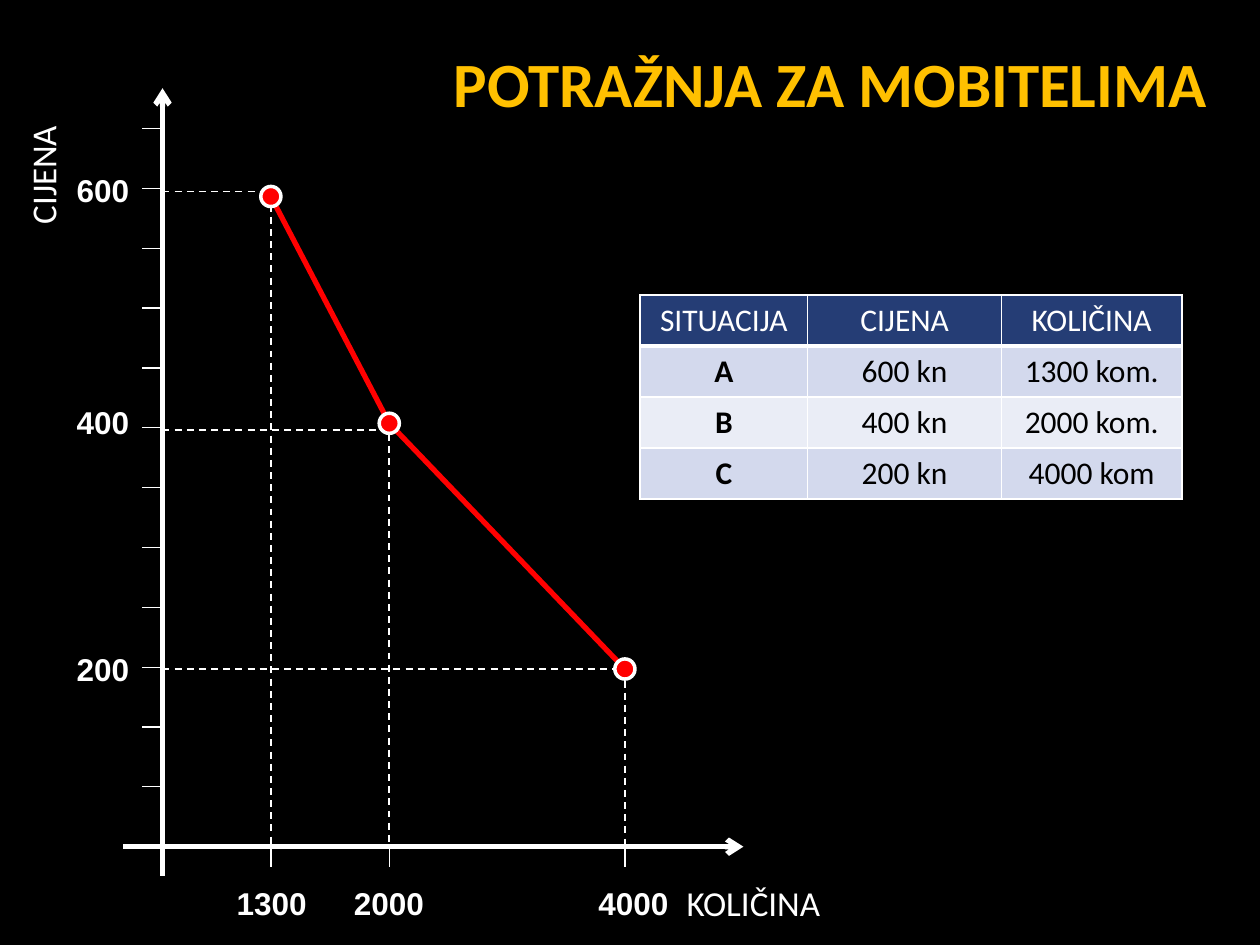
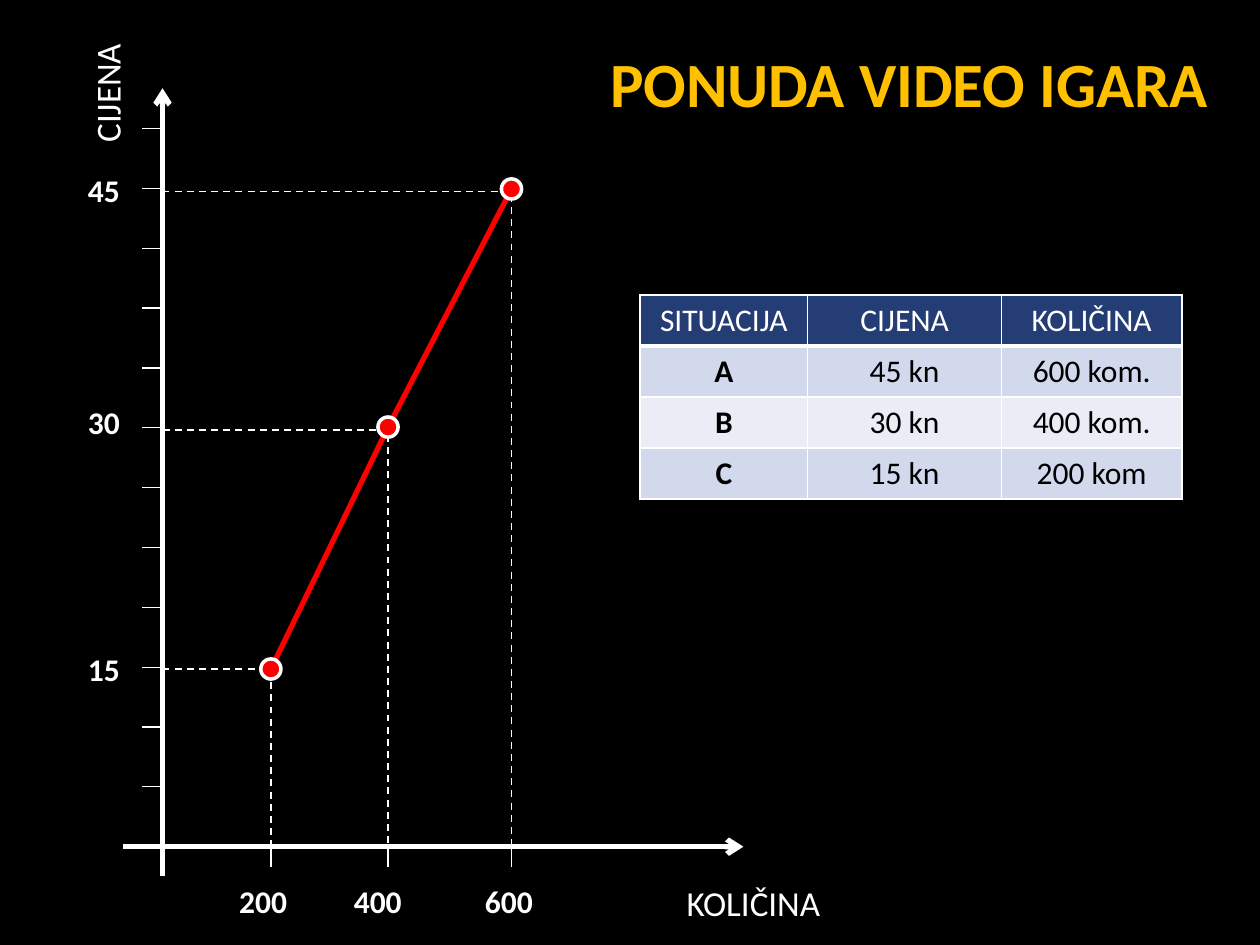
from lxml import etree
from pptx import Presentation
from pptx.dml.color import RGBColor
from pptx.enum.dml import MSO_LINE
from pptx.enum.shapes import MSO_CONNECTOR, MSO_SHAPE
from pptx.enum.text import MSO_AUTO_SIZE, PP_ALIGN
from pptx.oxml.ns import qn
from pptx.util import Inches, Pt

STRAIGHT, ELBOW = MSO_CONNECTOR.STRAIGHT, MSO_CONNECTOR.ELBOW
OVAL, DASH = MSO_SHAPE.OVAL, MSO_LINE.DASH
LEFT, CENTER, RIGHT = PP_ALIGN.LEFT, PP_ALIGN.CENTER, PP_ALIGN.RIGHT
GROW, FIXED = MSO_AUTO_SIZE.SHAPE_TO_FIT_TEXT, MSO_AUTO_SIZE.NONE

# Content: labels are (text, left); points are (x, y), from situation A to C
HEADER = ("SITUACIJA", "CIJENA", "KOLIČINA")
SLIDES = [
    {
        "title": "POTRAŽNJA ZA MOBITELIMA",
        "title_box": (3.12, 0.3, 6.56, 0.95),
        "price_axis_box": (-0.17, 1.15, 1.02, 0.44),
        "label_font": "Arial",
        "prices": ("600", "400", "200"),
        "price_left": 0.51, "price_width": 0.62,
        "quantities": (("1300", 1.78), ("2000", 2.71), ("4000", 4.65)),
        "quantity_top": 6.97, "quantity_width": 0.76,
        "points": ((2.15, 1.56), (3.09, 3.36), (4.96, 5.31)),
        "rows": (("A", "600 kn", "1300 kom."),
                 ("B", "400 kn", "2000 kom."),
                 ("C", "200 kn", "4000 kom")),
    },
    {
        "title": "PONUDA VIDEO IGARA",
        "title_box": (2.66, 0.3, 7.03, 0.95),
        "price_axis_box": (0.34, 0.5, 1.02, 0.44),
        "label_font": "Calibri",
        "prices": ("45", "30", "15"),
        "price_left": 0.6, "price_width": 0.46,
        "quantities": (("200", 1.8), ("400", 2.71), ("600", 3.75)),
        "quantity_top": 6.95, "quantity_width": 0.59,
        "points": ((4.06, 1.5), (3.08, 3.39), (2.15, 5.31)),
        "rows": (("A", "45 kn", "600 kom."),
                 ("B", "30 kn", "400 kom."),
                 ("C", "15 kn", "200 kom")),
    },
]

# Shared look and geometry
BLACK, WHITE, RED, GOLD = "000000", "FFFFFF", "FF0000", "FFC000"
HEADER_FILL, BANDS = "253D75", ("D3D9ED", "EAEDF6")
FONT = "Calibri"
ORIGIN_X, ORIGIN_Y = 1.29, 6.72
TICK, TICK_STEP, TICK_COUNT = 0.16, 0.475, 12
PRICE_TOPS = (1.31, 3.15, 5.11)
GUIDE_LEVELS = (1.52, 3.41, 5.31)
MARKER = 0.16
COLUMN_WIDTHS, ROW_HEIGHT = (1.33, 1.54, 1.43), 0.405


def rgb(color):
    return RGBColor.from_string(color)


def write(frame, text, size, color, font=FONT, bold=False, align=LEFT):
    paragraph = frame.paragraphs[0]
    paragraph.alignment = align
    run = paragraph.add_run()
    run.text = text
    run.font.name, run.font.size, run.font.bold = font, Pt(size), bold
    run.font.color.rgb = rgb(color)


def add_text(slide, box, text, size, color=WHITE, wrap=True, fit=GROW, **style):
    label = slide.shapes.add_textbox(*map(Inches, box))
    label.text_frame.word_wrap = wrap
    label.text_frame.auto_size = fit
    write(label.text_frame, text, size, color, **style)
    return label


def add_line(slide, start, end, width, kind=STRAIGHT):
    line = slide.shapes.add_connector(kind, *map(Inches, (*start, *end)))
    line.line.color.rgb = rgb(WHITE)
    line.line.width = Pt(width)
    etree.SubElement(line._element.spPr, qn("a:effectLst"))
    return line


def add_axis(slide, start, end):
    axis = add_line(slide, start, end, 3)
    etree.SubElement(axis.line._get_or_add_ln(), qn("a:tailEnd"), type="arrow")


def add_guide(slide, level, x):
    """Dashed line across from the price axis, then down to the quantity axis."""
    guide = add_line(slide, (ORIGIN_X, level), (x, ORIGIN_Y), 1, ELBOW)
    guide.line.dash_style = DASH
    bend = guide._element.spPr.find(qn("a:prstGeom")).find(qn("a:avLst"))
    etree.SubElement(bend, qn("a:gd"), name="adj1", fmla="val 100000")


def add_curve(slide, points):
    start, *rest = [(Inches(x), Inches(y)) for x, y in points]
    builder = slide.shapes.build_freeform(*start)
    builder.add_line_segments(rest, close=False)
    curve = builder.convert_to_shape()
    curve.shadow.inherit = False
    curve.fill.background()
    curve.line.color.rgb = rgb(RED)
    curve.line.width = Pt(3)


def add_marker(slide, x, y):
    box = (x - MARKER / 2, y - MARKER / 2, MARKER, MARKER)
    marker = slide.shapes.add_shape(OVAL, *map(Inches, box))
    marker.shadow.inherit = False
    marker.fill.solid()
    marker.fill.fore_color.rgb = rgb(RED)
    marker.line.color.rgb = rgb(WHITE)
    marker.line.width = Pt(2)


def set_borders(cell, bottom):
    properties = cell._tc.get_or_add_tcPr()
    widths = {"lnL": 1, "lnR": 1, "lnT": 1, "lnB": bottom}
    for position, (side, width) in enumerate(widths.items()):
        border = etree.Element(qn("a:" + side), w=str(Pt(width)))
        fill = etree.SubElement(border, qn("a:solidFill"))
        etree.SubElement(fill, qn("a:srgbClr"), val=WHITE)
        properties.insert(position, border)


def add_situations(slide, rows):
    rows = (HEADER, *rows)
    box = (5.08, 2.34, sum(COLUMN_WIDTHS), ROW_HEIGHT * len(rows))
    table = slide.shapes.add_table(len(rows), len(HEADER), *map(Inches, box)).table
    for column, width in zip(table.columns, COLUMN_WIDTHS):
        column.width = Inches(width)
    for r, row in enumerate(rows):
        is_header = r == 0
        for c, text in enumerate(row):
            cell = table.cell(r, c)
            cell.fill.solid()
            cell.fill.fore_color.rgb = rgb(HEADER_FILL if is_header else BANDS[(r - 1) % 2])
            set_borders(cell, 3 if is_header else 1)
            write(cell.text_frame, text, 18, WHITE if is_header else BLACK,
                  bold=c == 0 and not is_header, align=CENTER)


def add_axes(slide, content):
    # Axis names
    add_text(slide, content["price_axis_box"], "CIJENA", 20).rotation = 270
    add_text(slide, (5.35, 6.95, 2.42, 0.44), "KOLIČINA", 20)

    # Price axis with evenly spaced ticks
    add_axis(slide, (ORIGIN_X, 6.95), (ORIGIN_X, 0.7))
    for n in range(1, TICK_COUNT + 1):
        y = ORIGIN_Y - n * TICK_STEP
        add_line(slide, (ORIGIN_X, y), (ORIGIN_X - TICK, y), 0.75)

    # Quantity axis with a tick under each point
    add_axis(slide, (0.98, ORIGIN_Y), (5.9, ORIGIN_Y))
    for x, _ in content["points"]:
        add_line(slide, (x, ORIGIN_Y), (x, ORIGIN_Y + TICK), 0.75)

    # Values along both axes
    value_style = {"wrap": False, "font": content["label_font"], "bold": True}
    for price, top in zip(content["prices"], PRICE_TOPS):
        box = (content["price_left"], top, content["price_width"], 0.4)
        add_text(slide, box, price, 18, **value_style)
    for quantity, left in content["quantities"]:
        box = (left, content["quantity_top"], content["quantity_width"], 0.4)
        add_text(slide, box, quantity, 18, **value_style)


def add_slide(deck, content):
    slide = deck.slides.add_slide(deck.slide_layouts[6])
    slide.background.fill.solid()
    slide.background.fill.fore_color.rgb = rgb(BLACK)
    add_axes(slide, content)

    # Curve with guides and markers
    points = content["points"]
    add_curve(slide, points)
    for (x, y), level in zip(points, GUIDE_LEVELS):
        add_guide(slide, level, x)
        add_marker(slide, x, y)

    add_situations(slide, content["rows"])
    add_text(slide, content["title_box"], content["title"], 36, GOLD,
             fit=FIXED, bold=True, align=RIGHT)


def main():
    deck = Presentation()
    deck.slide_width, deck.slide_height = Inches(10), Inches(7.5)
    for content in SLIDES:
        add_slide(deck, content)
    deck.save("out.pptx")


if __name__ == "__main__":
    main()
